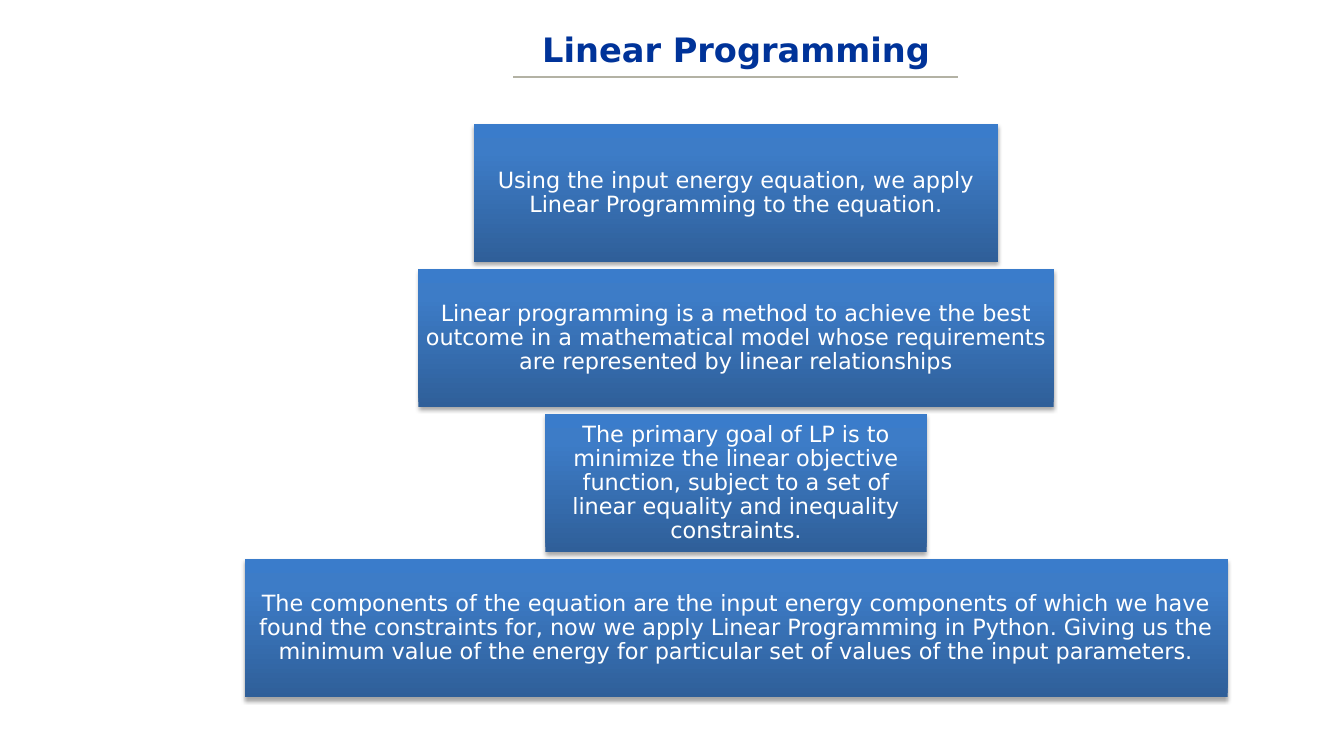
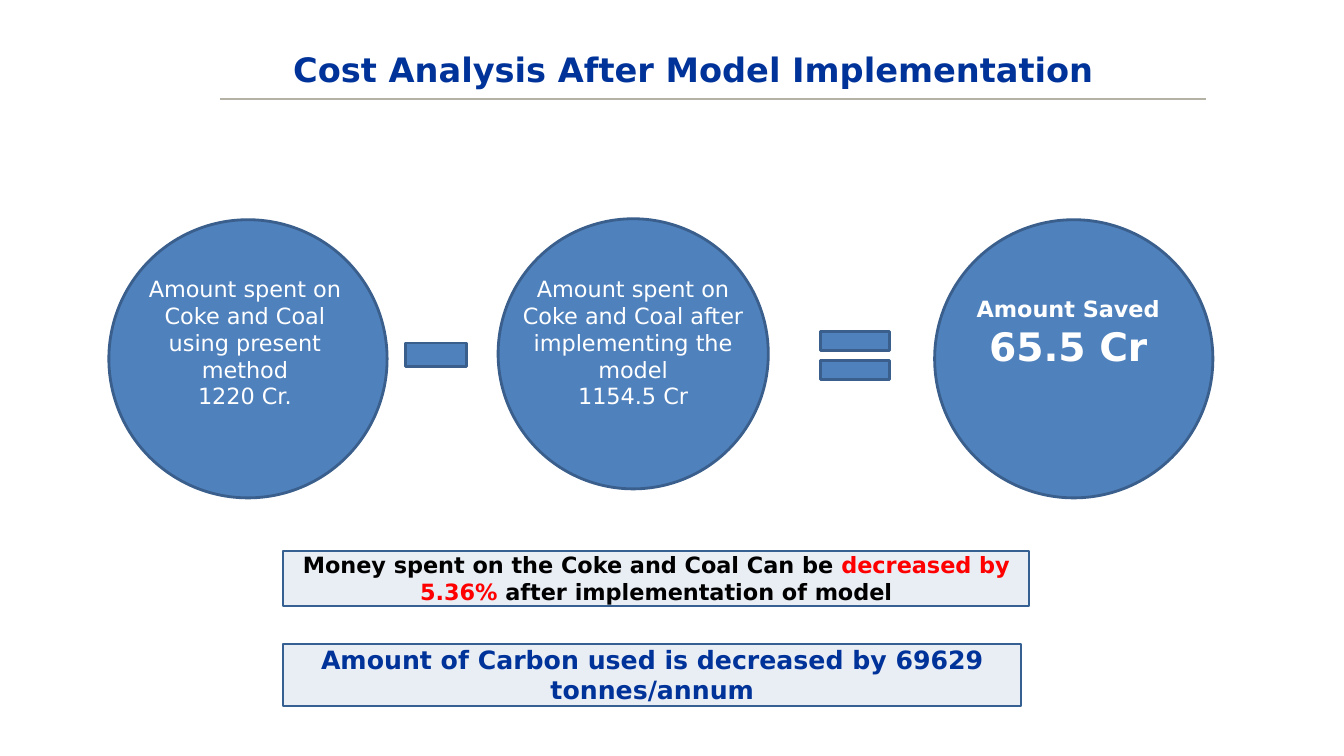
import copy
from dataclasses import dataclass

import pptx
import pptx.dml.color
import pptx.enum.shapes
import pptx.enum.text
import pptx.oxml
import pptx.oxml.ns
import pptx.util
from pptx.dml.color import RGBColor
from pptx.util import Inches

# Shared look
NAVY = RGBColor(0x00, 0x33, 0x99)
RULE_GREY = RGBColor(0xB3, 0xB2, 0xA4)
WHITE = RGBColor(0xFF, 0xFF, 0xFF)
BLACK = RGBColor(0x00, 0x00, 0x00)
RED = RGBColor(0xFF, 0x00, 0x00)
BLUE = RGBColor(0x4F, 0x81, 0xBD)
BLUE_EDGE = RGBColor(0x3A, 0x5F, 0x8C)
PALE = RGBColor(0xE9, 0xED, 0xF4)
PALE_EDGE = RGBColor(0x37, 0x60, 0x92)
STEP_GRADIENT = (
    (0, RGBColor(0x2F, 0x5F, 0x99)),
    (0.8, RGBColor(0x3D, 0x7C, 0xC7)),
    (1, RGBColor(0x3A, 0x7C, 0xCB)),
)
FONT = "DejaVu Sans"
SHAPE = pptx.enum.shapes.MSO_SHAPE
ALIGN = pptx.enum.text.PP_ALIGN
ANCHOR = pptx.enum.text.MSO_ANCHOR
NO_INSETS = (0, 0, 0, 0)
TEXT_INSETS = (0.1, 0.05, 0.1, 0.05)


@dataclass(frozen=True)
class Box:
    left: float
    top: float
    width: float
    height: float

    def lengths(self) -> tuple:
        return tuple(Inches(v) for v in (self.left, self.top, self.width, self.height))


@dataclass(frozen=True)
class Run:
    text: str
    size: int = 16
    color: RGBColor = WHITE
    bold: bool = False


@dataclass(frozen=True)
class Step:
    width: float
    text: str


@dataclass(frozen=True)
class Amount:
    circle: Box
    caption: Box
    lines: tuple


@dataclass(frozen=True)
class Finding:
    box: Box
    runs: tuple


# Drawing helpers
def set_format(target, values: dict) -> None:
    for name, value in values.items():
        setattr(target, name, value)


def write(shape, paragraphs, insets=TEXT_INSETS, anchor=ANCHOR.TOP,
          align=ALIGN.CENTER, spacing=None) -> None:
    frame = shape.text_frame
    left, top, right, bottom = (Inches(v) for v in insets)
    set_format(frame, {
        "word_wrap": True, "vertical_anchor": anchor,
        "margin_left": left, "margin_top": top,
        "margin_right": right, "margin_bottom": bottom,
    })
    for index, runs in enumerate(paragraphs):
        paragraph = frame.add_paragraph() if index else frame.paragraphs[0]
        set_format(paragraph, {"alignment": align, "line_spacing": spacing})
        for part in runs:
            run = paragraph.add_run()
            set_format(run, {"text": part.text})
            set_format(run.font, {"name": FONT, "size": pptx.util.Pt(part.size),
                                  "bold": part.bold})
            run.font.color.rgb = part.color


def add_solid(slide, kind, box: Box, fill: RGBColor, edge: RGBColor, weight: float):
    shape = slide.shapes.add_shape(kind, *box.lengths())
    shape.shadow.inherit = False
    shape.fill.solid()
    shape.fill.fore_color.rgb = fill
    shape.line.color.rgb = edge
    shape.line.width = pptx.util.Pt(weight)
    return shape


def add_title(slide, text: str, box: Box, rule: tuple, insets: tuple, align) -> None:
    title = slide.shapes.add_textbox(*box.lengths())
    write(title, [[Run(text, 24, NAVY, True)]], insets, align=align)
    start, end, y = (Inches(v) for v in rule)
    line = slide.shapes.add_connector(
        pptx.enum.shapes.MSO_CONNECTOR.STRAIGHT, start, y, end, y)
    line.line.color.rgb = RULE_GREY
    line.line.width = pptx.util.Pt(1.5)
    pptx.oxml.ns  # namespace helpers used below
    line._element.spPr.append(pptx.oxml.parse_xml(
        f"<a:effectLst {pptx.oxml.ns.nsdecls('a')}/>"))


def add_step(slide, box: Box, text: str) -> None:
    shape = slide.shapes.add_shape(SHAPE.RECTANGLE, *box.lengths())
    shape.line.fill.background()

    # Gradient, dark at the bottom
    shape.fill.gradient()
    shape.fill.gradient_angle = 90
    properties = shape._element.spPr
    stops = properties.find(".//" + pptx.oxml.ns.qn("a:gsLst"))
    stops.append(copy.deepcopy(stops[0]))
    for stop, xml_stop, (position, color) in zip(
            shape.fill.gradient_stops, stops, STEP_GRADIENT):
        stop.color.rgb = color
        xml_stop.set("pos", str(int(position * 100000)))

    # Soft shadow below
    shape.shadow.inherit = False
    effects = properties.find(pptx.oxml.ns.qn("a:effectLst"))
    effects.append(pptx.oxml.parse_xml(
        f'<a:outerShdw {pptx.oxml.ns.nsdecls("a")} blurRad="{pptx.util.Pt(3.1)}" '
        f'dist="{pptx.util.Pt(1.8)}" dir="5400000" rotWithShape="0">'
        f'<a:srgbClr val="{BLACK}"><a:alpha val="35000"/></a:srgbClr></a:outerShdw>'))
    write(shape, [[Run(text)]], (0.04,) * 4, ANCHOR.MIDDLE, spacing=0.9)


# Linear programming: stacked steps on one centre line
STEP_CENTER, STEP_TOP, STEP_HEIGHT, STEP_PITCH = 7.3, 1.23, 1.37, 1.44
STEPS = (
    Step(5.2, "Using the input energy equation, we apply Linear Programming "
              "to the equation."),
    Step(6.3, "Linear programming is a method to achieve the best outcome in a "
              "mathematical model whose requirements are represented by linear "
              "relationships"),
    Step(3.78, "The primary goal of LP is to minimize the linear objective function, "
               "subject to a set of linear equality and inequality constraints."),
    Step(9.75, "The components of the equation are the input energy components of "
               "which we have found the constraints for, now we apply Linear "
               "Programming in Python. Giving us the minimum value of the energy "
               "for particular set of values of the input parameters."),
)


def build_programming(slide) -> None:
    add_title(slide, "Linear Programming", Box(2.79, 0.29, 9.02, 0.4),
              (5.09, 9.5, 0.76), NO_INSETS, ALIGN.CENTER)
    for index, step in enumerate(STEPS):
        box = Box(STEP_CENTER - step.width / 2, STEP_TOP + index * STEP_PITCH,
                  step.width, STEP_HEIGHT)
        add_step(slide, box, step.text)


# Cost analysis: spent before - spent after = saved
AMOUNTS = (
    Amount(Box(1.08, 2.18, 2.76, 2.76), Box(1.21, 2.68, 2.44, 1.45),
           (Run("Amount spent on Coke and Coal using present method"),
            Run("1220 Cr."))),
    Amount(Box(4.94, 2.17, 2.68, 2.68), Box(5.06, 2.68, 2.44, 1.45),
           (Run("Amount spent on Coke and Coal after implementing the model"),
            Run("1154.5 Cr"))),
    Amount(Box(9.27, 2.18, 2.76, 2.76), Box(9.53, 2.88, 2.13, 0.84),
           (Run("Amount Saved", bold=True), Run("65.5 Cr", 28, bold=True))),
)
OPERATORS = (
    (SHAPE.MATH_MINUS, Box(3.91, 3.02, 0.83, 1)),
    (SHAPE.MATH_EQUAL, Box(8.01, 3.12, 0.94, 0.81)),
)
FINDINGS = (
    Finding(Box(2.81, 5.47, 7.4, 0.54),
            (Run("Money spent on the Coke and Coal Can be ", 16, BLACK, True),
             Run("decreased by 5.36%", 16, RED, True),
             Run(" after implementation of model", 16, BLACK, True))),
    Finding(Box(2.81, 6.39, 7.32, 0.61),
            (Run("Amount of Carbon used is decreased by 69629 tonnes/annum",
                 18, NAVY, True),)),
)


def build_cost(slide) -> None:
    add_title(slide, "Cost Analysis After Model Implementation",
              Box(2.81, 0.44, 8.58, 0.5), (2.18, 11.96, 0.98), TEXT_INSETS, ALIGN.LEFT)
    for amount in AMOUNTS:
        add_solid(slide, SHAPE.OVAL, amount.circle, BLUE, BLUE_EDGE, 2)
        caption = slide.shapes.add_textbox(*amount.caption.lengths())
        write(caption, [[line] for line in amount.lines])
    for kind, box in OPERATORS:
        add_solid(slide, kind, box, BLUE, BLUE_EDGE, 2)
    for finding in FINDINGS:
        panel = add_solid(slide, SHAPE.RECTANGLE, finding.box, PALE, PALE_EDGE, 1.5)
        write(panel, [finding.runs], NO_INSETS)


def main() -> None:
    deck = pptx.Presentation()
    set_format(deck, {"slide_width": Inches(13.33), "slide_height": Inches(7.5)})
    blank = deck.slide_layouts[6]
    for build in (build_programming, build_cost):
        build(deck.slides.add_slide(blank))
    deck.save("out.pptx")


if __name__ == "__main__":
    main()
